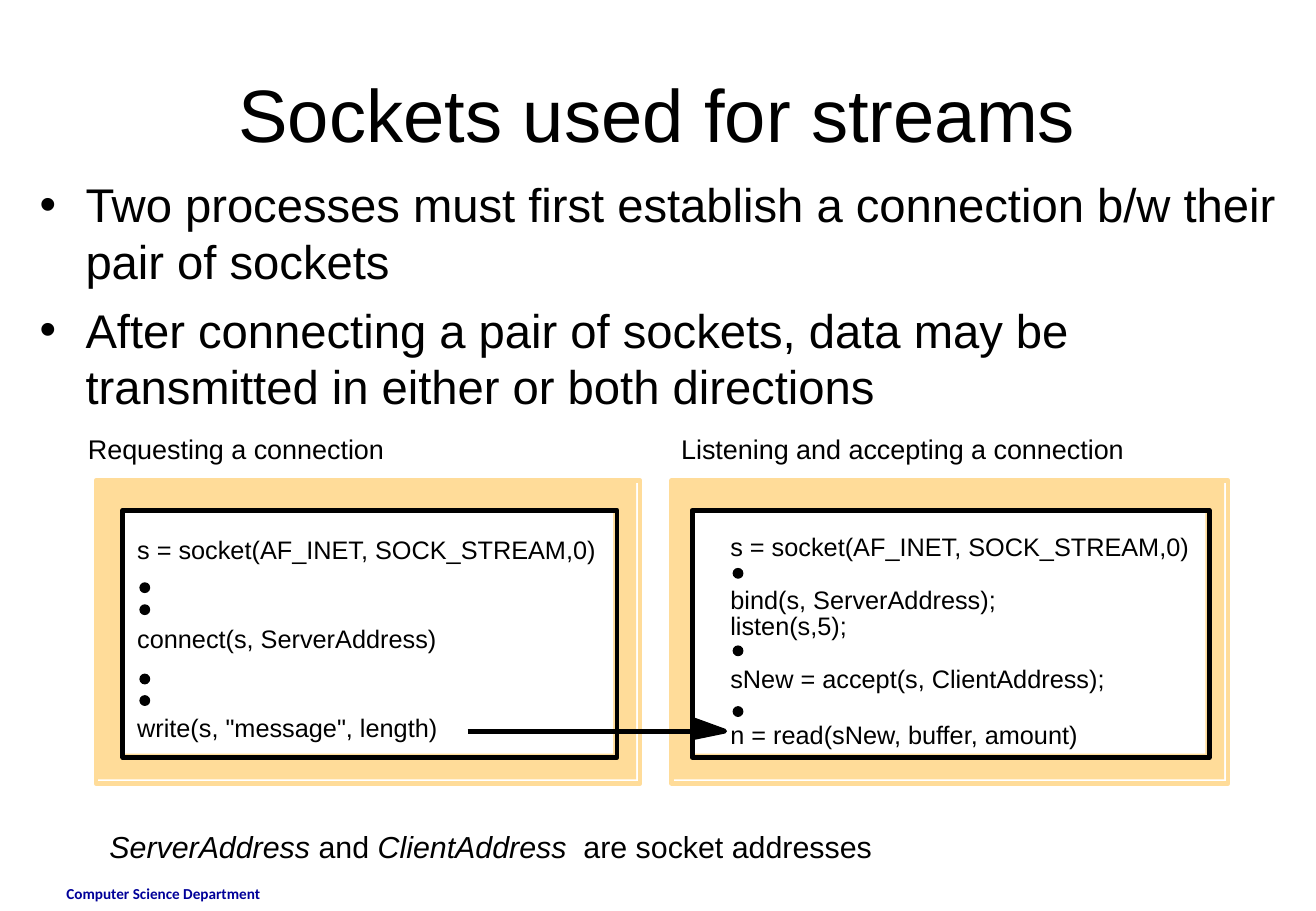
from lxml.etree import SubElement
from pptx import Presentation
from pptx.dml.color import RGBColor
from pptx.enum.shapes import MSO_CONNECTOR, MSO_SHAPE
from pptx.enum.text import MSO_ANCHOR, PP_ALIGN
from pptx.oxml.ns import qn
from pptx.util import Cm, Pt

BLACK = RGBColor(0x00, 0x00, 0x00)
WHITE = RGBColor(0xFF, 0xFF, 0xFF)
SAND = RGBColor(0xFF, 0xDC, 0x99)
NAVY = RGBColor(0x00, 0x00, 0x99)
THICK = 2.86
LIP = 0.08  # how far an outline reaches past its fill
DOT = 0.2

POINTS = [
    "Two processes must first establish a connection b/w their pair of sockets",
    "After connecting a pair of sockets, data may be transmitted in either or both directions",
]
CLIENT = [
    (11.18, "s = socket(AF_INET, SOCK_STREAM,0)"),
    (13.03, "connect(s, ServerAddress)"),
    (14.9, 'write(s, "message", length)'),
]
SERVER = [
    (11.1, "s = socket(AF_INET, SOCK_STREAM,0)"),
    (12.22, "bind(s, ServerAddress);"),
    (12.77, "listen(s,5);"),
    (13.87, "sNew = accept(s, ClientAddress);"),
    (15.04, "n = read(sNew, buffer, amount)"),
]


def add_run(par, text, size, color=BLACK, face="Arial", bold=False, italic=False):
    run = par.add_run()
    run.text = text
    font = run.font
    font.name, font.size, font.bold, font.italic = face, Pt(size), bold, italic
    font.color.rgb = color


def add_label(slide, left, top, width, height, runs, size):
    """Place one unwrapped line of (text, italic) runs in a box without margins."""
    box = slide.shapes.add_textbox(Cm(left), Cm(top), Cm(width), Cm(height))
    frame = box.text_frame
    frame.margin_left = frame.margin_right = frame.margin_top = frame.margin_bottom = 0
    frame.word_wrap = False
    for text, italic in runs:
        add_run(frame.paragraphs[0], text, size, italic=italic)


def add_block(slide, kind, left, top, width, height, fill=None, line=None, weight=THICK):
    shape = slide.shapes.add_shape(kind, Cm(left), Cm(top), Cm(width), Cm(height))
    paint(shape, fill, line, weight)


def paint(shape, fill, line, weight):
    shape.shadow.inherit = False
    if fill is None:
        shape.fill.background()
    else:
        shape.fill.solid()
        shape.fill.fore_color.rgb = fill
    if line is None:
        shape.line.fill.background()
    else:
        shape.line.color.rgb = line
        shape.line.width = Pt(weight)


def add_panel(slide, left, top, width, height, fill, line):
    """Draw a filled area with a slightly larger outline."""
    add_block(slide, MSO_SHAPE.RECTANGLE, left, top, width, height, fill=fill)
    add_block(slide, MSO_SHAPE.RECTANGLE, left, top, width + LIP, height + LIP, line=line)


def add_code(slide, left, lines, dots):
    for top, text in lines:
        add_label(slide, left, top, 9.8, 0.64, [(text, False)], 15)
    for top in dots:
        add_block(slide, MSO_SHAPE.OVAL, left + 0.06, top, DOT, DOT, BLACK, BLACK, 0.75)


def add_arrow(slide):
    shaft = slide.shapes.add_connector(
        MSO_CONNECTOR.STRAIGHT, Cm(9.78), Cm(15.29), Cm(14.53), Cm(15.29))
    shaft.line.color.rgb = BLACK
    shaft.line.width = Pt(THICK)
    SubElement(shaft._element.spPr, qn("a:effectLst"))
    pen = slide.shapes.build_freeform(Cm(14.53), Cm(15.06))
    pen.add_line_segments([(Cm(15.16), Cm(15.29)), (Cm(14.53), Cm(15.42))], close=True)
    paint(pen.convert_to_shape(), BLACK, BLACK, THICK)


def add_title(slide):
    title = slide.shapes.title
    title.left, title.top, title.width, title.height = Cm(1.37), Cm(0.76), Cm(24.77), Cm(3.18)
    title.text_frame.vertical_anchor = MSO_ANCHOR.MIDDLE
    par = title.text_frame.paragraphs[0]
    par.alignment = PP_ALIGN.CENTER
    add_run(par, "Sockets used for streams", 44)


def add_points(slide):
    box = slide.shapes.add_textbox(Cm(0.58), Cm(3.55), Cm(26.62), Cm(7.3))
    frame = box.text_frame
    frame.word_wrap = True
    for num, text in enumerate(POINTS):
        par = frame.add_paragraph() if num else frame.paragraphs[0]
        props = par._p.get_or_add_pPr()
        props.set("marL", str(Cm(0.96)))
        props.set("indent", str(Cm(-0.96)))
        SubElement(props, qn("a:buFont"), typeface="Arial")
        SubElement(props, qn("a:buChar"), char="•")
        if num:
            par.space_before = Pt(7)
        add_run(par, text, 28)


def add_footer(slide):
    box = slide.shapes.add_textbox(Cm(1.14), Cm(18.36), Cm(6.43), Cm(0.69))
    box.text_frame.word_wrap = True
    add_run(box.text_frame.paragraphs[0], "Computer Science Department", 9, NAVY, "Calibri", True)


def main():
    deck = Presentation()
    deck.slide_width, deck.slide_height = Cm(27.53), Cm(19.05)
    slide = deck.slides.add_slide(deck.slide_layouts[5])
    add_footer(slide)
    add_title(slide)
    add_points(slide)

    add_label(slide, 1.84, 9.04, 6.5, 0.69, [("Requesting a connection", False)], 16)
    add_label(slide, 14.25, 9.04, 9.6, 0.69,
              [("Listening and accepting a connection", False)], 16)

    add_panel(slide, 2.01, 10.05, 11.3, 6.25, SAND, SAND)
    add_panel(slide, 2.57, 10.67, 10.26, 5.09, WHITE, BLACK)
    add_panel(slide, 14.05, 10.05, 11.56, 6.25, SAND, SAND)
    add_panel(slide, 14.48, 10.67, 10.74, 5.09, WHITE, BLACK)
    add_code(slide, 2.87, CLIENT, [12.19, 12.65, 14.1, 14.55])
    add_code(slide, 15.28, SERVER, [11.89, 13.51, 14.78])
    add_arrow(slide)

    add_label(slide, 2.29, 17.32, 18, 0.76, [
        ("ServerAddress ", True), ("and ", False),
        ("ClientAddress ", True), (" are socket addresses", False)], 18)
    deck.save("out.pptx")


if __name__ == "__main__":
    main()
